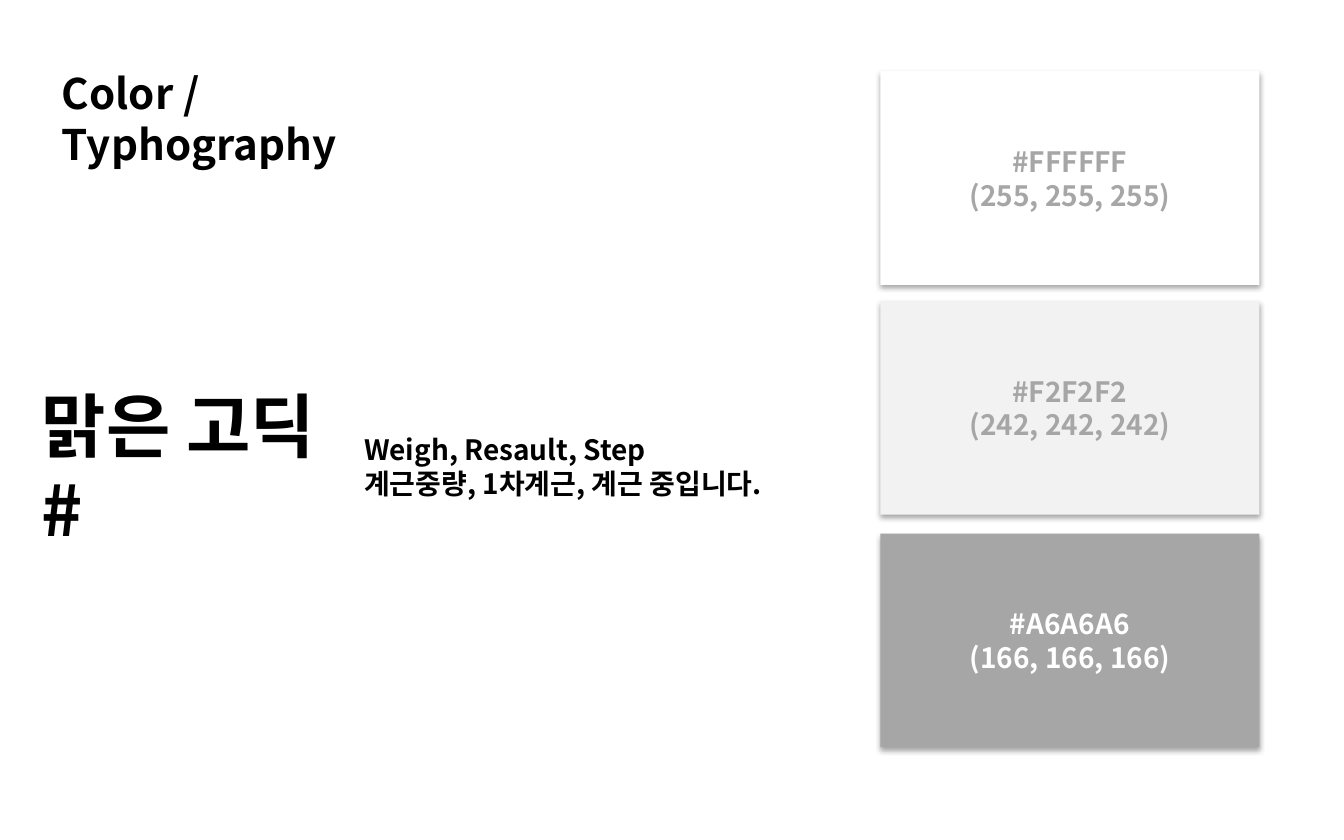
from dataclasses import dataclass

from lxml.etree import SubElement
from pptx import Presentation
from pptx.dml.color import RGBColor
from pptx.enum.shapes import MSO_SHAPE as Shape
from pptx.enum.text import MSO_ANCHOR as Anchor, MSO_AUTO_SIZE as Fit, PP_ALIGN as Align
from pptx.oxml.ns import qn
from pptx.slide import Slide
from pptx.text.text import TextFrame
from pptx.util import Inches, Pt

FONT = "Noto Sans CJK KR"
BLACK = RGBColor(0x00, 0x00, 0x00)
WHITE = RGBColor(0xFF, 0xFF, 0xFF)
PALE = RGBColor(0xF2, 0xF2, 0xF2)
GRAY = RGBColor(0xA6, 0xA6, 0xA6)


@dataclass
class Swatch:
    top: float
    fill: RGBColor
    ink: RGBColor


@dataclass
class Sample:
    left: float
    top: float
    width: float
    height: float
    size: float
    lines: list[str]
    wrap: bool


SWATCHES = [
    Swatch(0.53, WHITE, GRAY),
    Swatch(2.24, PALE, GRAY),
    Swatch(3.97, GRAY, WHITE),
]
SAMPLES = [
    Sample(0.31, 2.84, 2.25, 1.26, 37.5, ["맑은 고딕", "#"], False),
    Sample(2.71, 3.22, 4.14, 0.5, 15,
           ["Weigh, Resault, Step", "계근중량, 1차계근, 계근 중입니다."], True),
]


def write(frame: TextFrame, lines: list[str], size: float, ink: RGBColor,
          align: Align = Align.LEFT) -> None:
    frame.vertical_anchor = Anchor.MIDDLE
    for i, line in enumerate(lines):
        para = frame.add_paragraph() if i else frame.paragraphs[0]
        para.alignment = align
        run = para.add_run()
        run.text = line
        font = run.font
        font.name, font.size, font.bold = FONT, Pt(size), True
        font.color.rgb = ink
        # Hangul takes the East Asian typeface
        SubElement(font._element, qn("a:ea"), typeface=FONT)


def trim(frame: TextFrame) -> None:
    frame.margin_left = frame.margin_right = 0
    frame.margin_top = frame.margin_bottom = 0


def add_shade(shape) -> None:
    shape.shadow.inherit = False
    effects = shape._element.spPr.find(qn("a:effectLst"))
    shade = SubElement(effects, qn("a:outerShdw"), blurRad=str(Pt(3.1)),
                       dist=str(Pt(1.8)), dir="5400000", algn="t", rotWithShape="0")
    color = SubElement(shade, qn("a:srgbClr"), val=str(BLACK))
    SubElement(color, qn("a:alpha"), val="35000")


def add_swatch(slide: Slide, swatch: Swatch) -> None:
    card = slide.shapes.add_shape(Shape.RECTANGLE, Inches(6.55), Inches(swatch.top),
                                  Inches(2.82), Inches(1.59))
    card.fill.solid()
    card.fill.fore_color.rgb = swatch.fill
    card.line.fill.background()
    add_shade(card)
    lines = [f"#{swatch.fill}", str(tuple(swatch.fill))]
    write(card.text_frame, lines, 15, swatch.ink, Align.CENTER)


def add_sample(slide: Slide, sample: Sample) -> None:
    box = slide.shapes.add_textbox(Inches(sample.left), Inches(sample.top),
                                   Inches(sample.width), Inches(sample.height))
    frame = box.text_frame
    trim(frame)
    frame.word_wrap = sample.wrap
    write(frame, sample.lines, sample.size, BLACK)


def add_title(slide: Slide) -> None:
    title = slide.shapes.title
    title.left, title.top = Inches(0.46), Inches(0.69)
    title.width, title.height = Inches(3.14), Inches(0.38)
    frame = title.text_frame
    trim(frame)
    frame.margin_right = Inches(0.3)  # keeps the title on two lines
    frame.word_wrap = True
    frame.auto_size = Fit.NONE
    write(frame, ["Color / Typhography"], 22.5, BLACK)


def main() -> None:
    deck = Presentation()
    deck.slide_width, deck.slide_height = Inches(10), Inches(6.25)
    slide = deck.slides.add_slide(deck.slide_layouts[5])

    # Heading
    add_title(slide)

    # Typeface samples
    for sample in SAMPLES:
        add_sample(slide, sample)

    # Colour swatches
    for swatch in SWATCHES:
        add_swatch(slide, swatch)

    deck.save("out.pptx")


if __name__ == "__main__":
    main()
